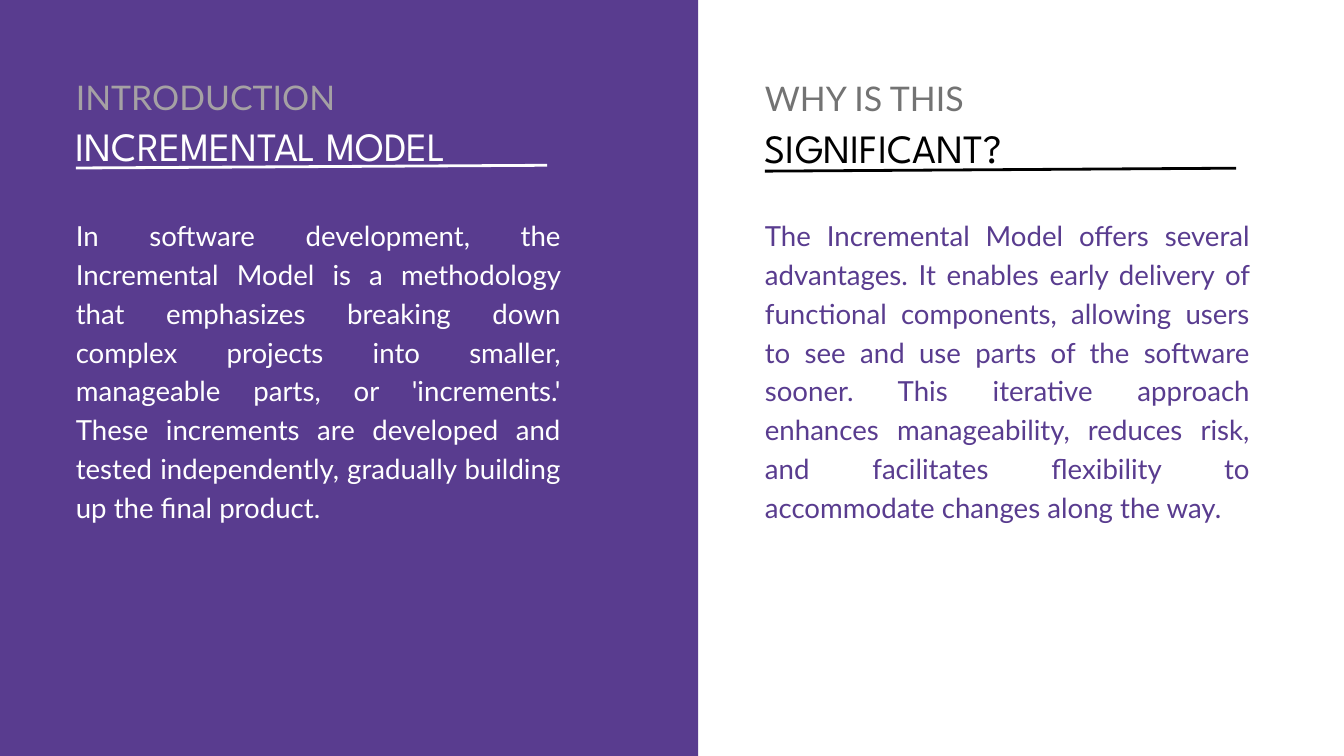
from dataclasses import dataclass

from lxml.etree import SubElement
from pptx import Presentation
from pptx.dml.color import RGBColor
from pptx.enum.shapes import MSO_CONNECTOR, MSO_SHAPE
from pptx.enum.text import MSO_ANCHOR, MSO_AUTO_SIZE, PP_ALIGN
from pptx.oxml.ns import qn
from pptx.util import Pt

COLORS = {
    "purple": "593C8F",
    "white": "FFFFFF",
    "black": "000000",
    "light_gray": "A5A1A4",
    "gray": "737373",
}
COMPARISON_LAYOUT = 4
PANEL_WIDTH = 748
HEADING_WIDTH = 505
BODY_TOP, BODY_WIDTH = 229, 520


@dataclass
class Column:
    left: float
    kicker_top: float
    heading_top: float
    rule_top: float
    rule_rise: float
    kicker: str
    heading: str
    body: str
    kicker_color: str
    heading_color: str
    body_color: str
    body_height: float


COLUMNS = [
    Column(
        81.2, 75, 121, 180, 2.9, "INTRODUCTION", "INCREMENTAL MODEL",
        "In software development, the Incremental Model is a methodology that "
        "emphasizes breaking down complex projects into smaller, manageable "
        "parts, or 'increments.' These increments are developed and tested "
        "independently, gradually building up the final product.",
        "light_gray", "white", "white", 411,
    ),
    Column(
        819.5, 75.6, 123.8, 183.4, 3.2, "WHY IS THIS", "SIGNIFICANT?",
        "The Incremental Model offers several advantages. It enables early "
        "delivery of functional components, allowing users to see and use "
        "parts of the software sooner. This iterative approach enhances "
        "manageability, reduces risk, and facilitates flexibility to "
        "accommodate changes along the way.",
        "gray", "black", "purple", 452,
    ),
]


def rgb(color: str) -> RGBColor:
    return RGBColor.from_string(COLORS[color])


def write_text(shape, text: str, *, left: float, top: float, width: float,
               height: float, size: float, spacing: float, color: str,
               font: str = "Lato", align=PP_ALIGN.LEFT) -> None:
    """Place a text box or placeholder and fill it with one plain paragraph."""
    shape.left, shape.top = Pt(left), Pt(top)
    shape.width, shape.height = Pt(width), Pt(height)
    frame = shape.text_frame
    frame.margin_left = frame.margin_right = 0
    frame.margin_top = frame.margin_bottom = 0
    frame.word_wrap = True
    frame.auto_size = MSO_AUTO_SIZE.NONE
    frame.vertical_anchor = MSO_ANCHOR.TOP
    frame.text = text
    paragraph = frame.paragraphs[0]
    properties = paragraph._p.get_or_add_pPr()
    properties.set("marL", "0")
    properties.set("indent", "0")
    SubElement(properties, qn("a:buNone"))
    paragraph.alignment = align
    paragraph.space_before = Pt(0)
    paragraph.line_spacing = Pt(spacing)
    run_font = paragraph.runs[0].font
    run_font.name, run_font.size, run_font.bold = font, Pt(size), False
    run_font.color.rgb = rgb(color)


def draw_panel(slide, height: int) -> None:
    """Draw the purple half behind everything else."""
    panel = slide.shapes.add_shape(MSO_SHAPE.RECTANGLE, 0, 0, Pt(PANEL_WIDTH), height)
    panel.shadow.inherit = False
    panel.fill.solid()
    panel.fill.fore_color.rgb = rgb("purple")
    panel.line.fill.background()
    panel.element.getparent().insert(2, panel.element)


def draw_rule(slide, column: Column) -> None:
    rule = slide.shapes.add_connector(
        MSO_CONNECTOR.STRAIGHT, Pt(column.left), Pt(column.rule_top),
        Pt(column.left + HEADING_WIDTH), Pt(column.rule_top - column.rule_rise))
    rule.line.color.rgb = rgb(column.heading_color)
    rule.line.width = Pt(3)
    SubElement(rule.element.spPr, qn("a:effectLst"))


def draw_column(slide, column: Column, kicker, heading, body) -> None:
    write_text(kicker, column.kicker, left=column.left, top=column.kicker_top,
               width=293, height=50, size=36.3, spacing=50.8,
               color=column.kicker_color)
    write_text(heading, column.heading, left=column.left, top=column.heading_top,
               width=HEADING_WIDTH, height=58, size=43, spacing=60.2,
               color=column.heading_color, font="League Spartan")
    write_text(body, column.body, left=column.left, top=BODY_TOP,
               width=BODY_WIDTH, height=column.body_height, size=29.6,
               spacing=41.5, color=column.body_color, align=PP_ALIGN.JUSTIFY)
    draw_rule(slide, column)


def main() -> None:
    presentation = Presentation()
    presentation.slide_width, presentation.slide_height = Pt(1440), Pt(810)
    slide = presentation.slides.add_slide(presentation.slide_layouts[COMPARISON_LAYOUT])
    draw_panel(slide, presentation.slide_height)

    slots = {slot.placeholder_format.idx: slot for slot in slide.placeholders}
    second_heading = slide.shapes.add_textbox(0, 0, 0, 0)
    introduction, significance = COLUMNS
    draw_column(slide, introduction, slots[1], slots[0], slots[2])
    draw_column(slide, significance, slots[3], second_heading, slots[4])
    presentation.save("out.pptx")


if __name__ == "__main__":
    main()
